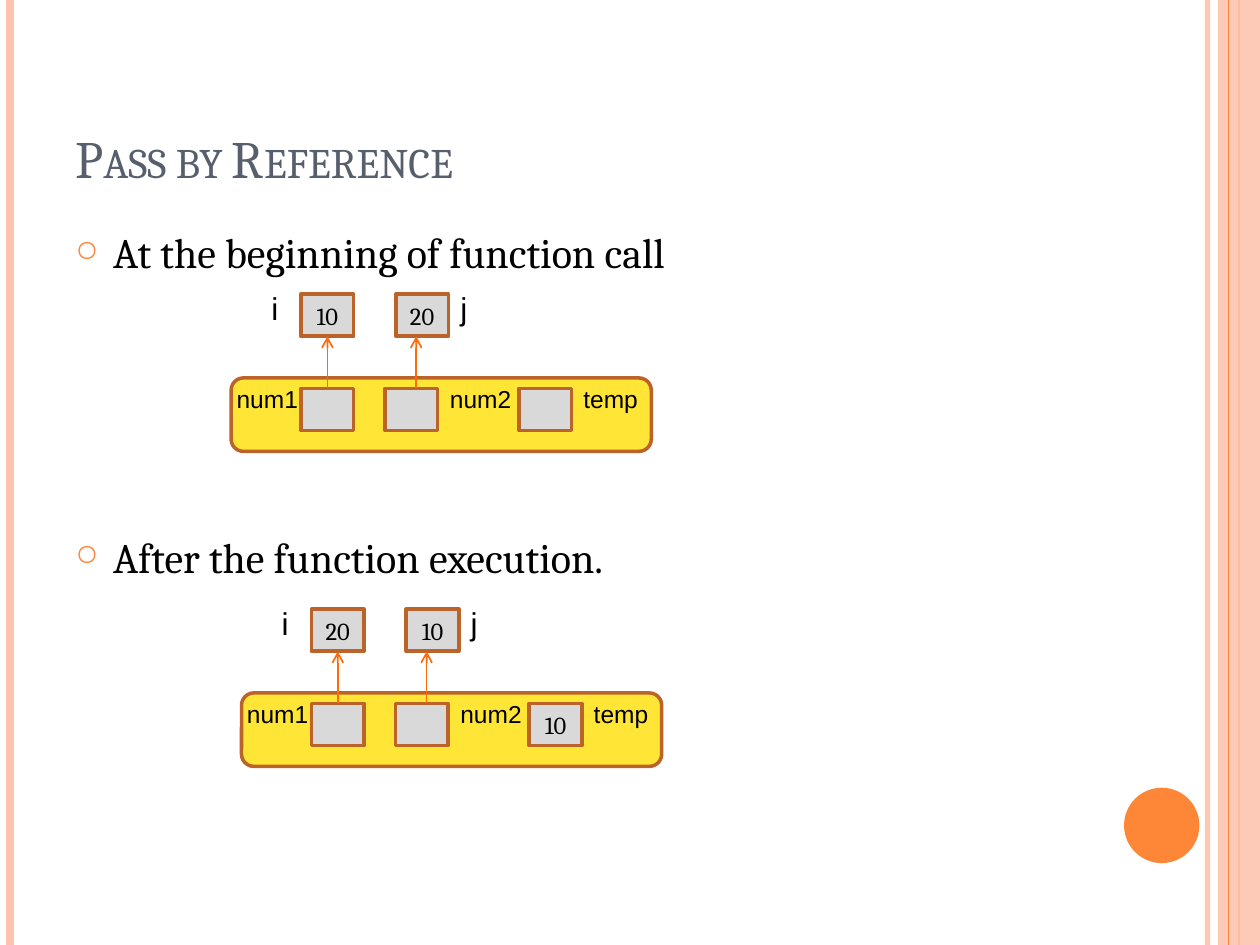
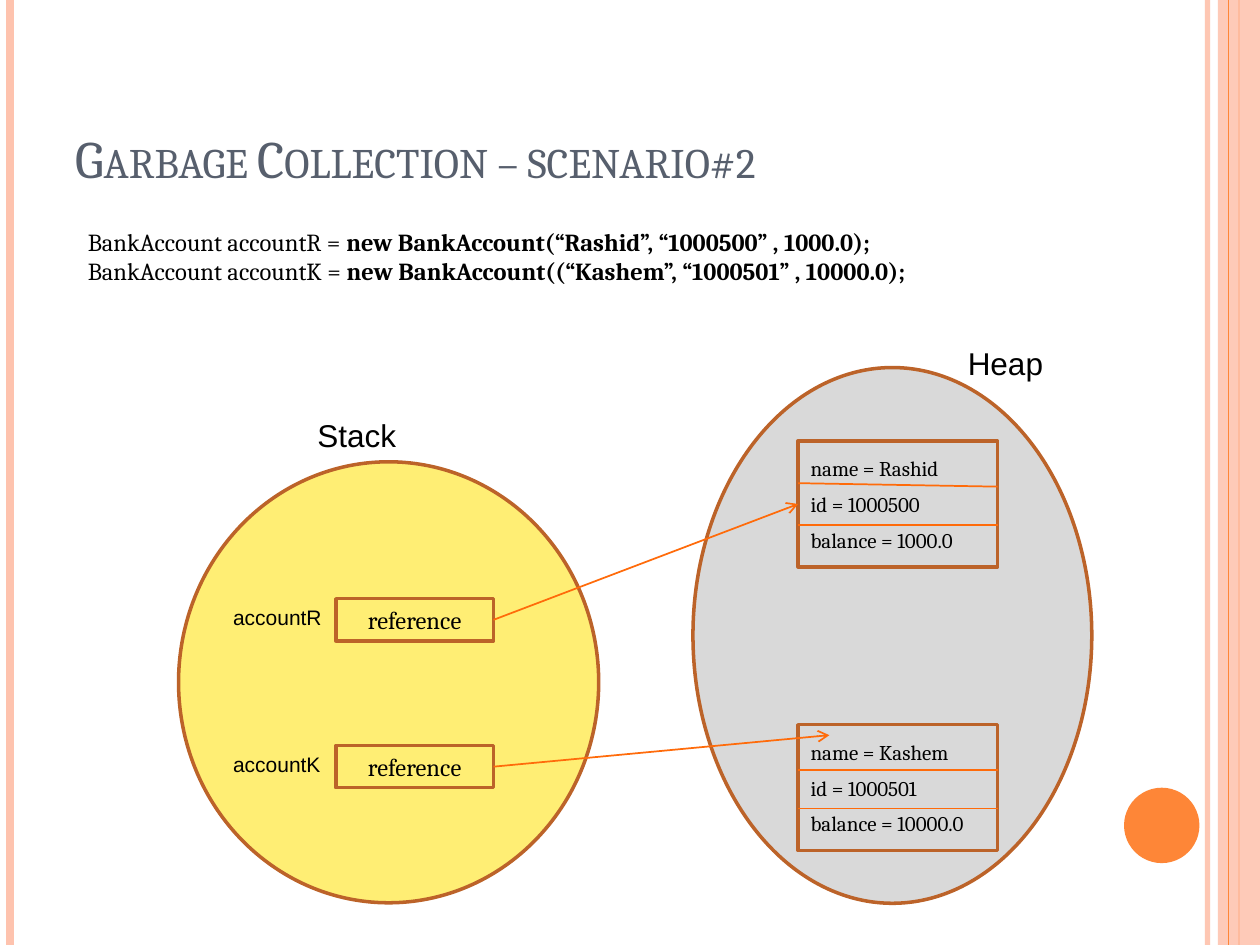
import pptx
import pptx.dml.color
import pptx.enum.shapes
import pptx.enum.text
import pptx.oxml
import pptx.oxml.ns
import pptx.util

Cm, Pt = pptx.util.Cm, pptx.util.Pt
SHAPE = pptx.enum.shapes.MSO_SHAPE
ANCHOR = pptx.enum.text.MSO_ANCHOR
ALIGN = pptx.enum.text.PP_ALIGN

COLORS = {
    "peach": "FEC3AE", "orange": "FE8637", "slate": "575F6D", "black": "000000",
    "grey": "D9D9D9", "rust": "BC6329", "arrow": "FF6B0A",
    "frame": "FFE636", "stack": "FFEE74",
}
SERIF, SANS = "Cambria", "Arial"
WIDTH, HEIGHT = 25.4, 19.05
TITLE_AREA = (1.27, 0.76, 20.75, 3.18)
BODY_AREA = (1.27, 4.45, 20.75, 13.55)

RULES_BEHIND = [(24.34, "peach", 3, 93), (0.21, "peach", 4.5, 100), (24.98, "orange", 1.5, 100)]
BAND = (24.55, 0, 0.85, HEIGHT)
RULE_ON_BAND = (24.77, "orange", 0.75, 100)
BADGE = (22.66, 15.88, 1.52, 1.52)

REFERENCE_TITLE = "Pass by Reference"
STAGES = [
    {"heading": "At the beginning of function call", "space": 6, "origin": (4.66, 7.62),
     "i": "10", "j": "20", "temp": ""},
    {"heading": "After the function execution.", "space": 145, "origin": (4.87, 13.97),
     "i": "20", "j": "10", "temp": "10"},
]
CELL = (1.06, 0.85)
CALLER_VARIABLES = [("i", 1.41, 0.56), ("j", 3.32, 4.37)]
PARAMETERS = [("num1", 1.41, -0.14, 1.75), ("num2", 3.1, 4.16, 1.75), ("temp", 5.8, 6.85, 1.63)]
POINTER_XS = [1.94, 3.73]

GARBAGE_TITLE = "Garbage Collection – scenario#2"
STATEMENTS = [
    ("BankAccount accountR = ", "new BankAccount(“Rashid”, “1000500” , 1000.0);"),
    ("BankAccount accountK = ", "new BankAccount((“Kashem”, “1000501” , 10000.0);"),
]
MEMORY = [
    ("Stack", (6.15, 8.26), "stack", (3.6, 9.31, 8.47, 8.89)),
    ("Heap", (19.26, 6.81), "grey", (13.97, 7.41, 8.04, 10.8)),
]
ACCOUNTS = [
    {"variable": "accountR", "top": 12.07, "object_top": 8.89, "target": (16.09, 10.16),
     "dividers": [(9.74, 9.81), (10.58, 10.58)],
     "fields": ["name = Rashid", "id = 1000500", "balance = 1000.0"]},
    {"variable": "accountK", "top": 15.03, "object_top": 14.61, "target": (16.72, 14.82),
     "dividers": [(15.52, 15.52), (16.3, 16.3)],
     "fields": ["name = Kashem", "id = 1000501", "balance = 10000.0"]},
]
OBJECT_LEFT, OBJECT_WIDTH, OBJECT_HEIGHT = 16.09, 4.02, 2.54
REFERENCE_LEFT, REFERENCE_WIDTH, REFERENCE_HEIGHT = 6.77, 3.18, 0.85


def rgb(color):
    return pptx.dml.color.RGBColor.from_string(COLORS[color])


def sub(parent, tag, **attributes):
    element = pptx.oxml.parse_xml(f'<a:{tag} {pptx.oxml.ns.nsdecls("a")}/>')
    for key, value in attributes.items():
        element.set(key, str(value))
    parent.append(element)
    return element


def set_alpha(owner, percent):
    if percent < 100:
        sub(owner.find(".//" + pptx.oxml.ns.qn("a:srgbClr")), "alpha", val=percent * 1000)


def add_run(paragraph, text, size, font=SERIF, color="black", bold=False):
    run = paragraph.add_run()
    run.text = text
    run.font.size, run.font.name, run.font.bold = Pt(size), font, bold
    run.font.color.rgb = rgb(color)
    return run


def paragraphs(frame, count):
    return [frame.paragraphs[0]] + [frame.add_paragraph() for _ in range(count - 1)]


def text_area(slide, area, wrap=True):
    frame = slide.shapes.add_textbox(*map(Cm, area)).text_frame
    frame.word_wrap = wrap
    return frame


def add_label(slide, text, left, top, width, height, size, wrap=False):
    frame = text_area(slide, (left, top, width, height), wrap)
    add_run(frame.paragraphs[0], text, size, SANS)


def add_line(slide, start, end, color="arrow", width=1, alpha=100, arrow=False):
    line = slide.shapes.add_connector(
        pptx.enum.shapes.MSO_CONNECTOR.STRAIGHT, *map(Cm, start + end))
    line.line.color.rgb = rgb(color)
    line.line.width = Pt(width)
    properties = line._element.spPr
    set_alpha(properties, alpha)
    if arrow:
        sub(line.line._get_or_add_ln(), "tailEnd", type="arrow")
    sub(properties, "effectLst")


def add_figure(slide, kind, area, fill=None, outline="rust", lines=(), size=14,
               align=ALIGN.CENTER, space=0):
    figure = slide.shapes.add_shape(kind, *map(Cm, area))
    figure.shadow.inherit = False
    if fill:
        figure.fill.solid()
        figure.fill.fore_color.rgb = rgb(fill)
    else:
        figure.fill.background()
    if outline:
        figure.line.color.rgb = rgb(outline)
        figure.line.width = Pt(2)
    else:
        figure.line.fill.background()
    if lines:
        figure.text_frame.vertical_anchor = ANCHOR.MIDDLE
        for paragraph, text in zip(paragraphs(figure.text_frame, len(lines)), lines):
            paragraph.alignment = align
            paragraph.space_before = Pt(space)
            add_run(paragraph, text, size)
    return figure


def add_rule(slide, x, color, width, alpha):
    add_line(slide, (x, 0), (x, HEIGHT), color, width, alpha)


def new_slide(deck, title):
    slide = deck.slides.add_slide(deck.slide_layouts[6])
    for rule in RULES_BEHIND:
        add_rule(slide, *rule)
    band = add_figure(slide, SHAPE.RECTANGLE, BAND, "peach", None)
    set_alpha(band._element.spPr, 87)
    add_rule(slide, *RULE_ON_BAND)
    add_figure(slide, SHAPE.OVAL, BADGE, "orange", None)
    frame = text_area(slide, TITLE_AREA)
    frame.vertical_anchor = ANCHOR.BOTTOM
    heading = add_run(frame.paragraphs[0], title, 30, color="slate")
    heading.font._element.set("cap", "small")
    return slide


def indent(paragraph, left, first):
    properties = paragraph._p.get_or_add_pPr()
    properties.set("marL", str(Cm(left)))
    properties.set("indent", str(Cm(first)))
    return properties


def add_stage(slide, stage):
    x, y = stage["origin"]

    def add_cell(left, top, value):
        add_figure(slide, SHAPE.RECTANGLE, (x + left, y + top, *CELL), "grey",
                   lines=[value] if value else [])

    add_figure(slide, SHAPE.ROUNDED_RECTANGLE, (x, y, 8.47, 1.48), "frame")
    for name, cell_left, label_left in CALLER_VARIABLES:
        add_cell(cell_left, -1.69, stage[name])
        add_label(slide, name, x + label_left, y - 1.91, 0.66, 1.02, 18)
    for name, cell_left, label_left, label_width in PARAMETERS:
        add_cell(cell_left, 0.21, stage.get(name))
        add_label(slide, name, x + label_left, y, label_width, 0.86, 14)
    for pointer_x in POINTER_XS:
        add_line(slide, (x + pointer_x, y + 0.21), (x + pointer_x, y - 0.84), arrow=True)


def build_reference(deck):
    slide = new_slide(deck, REFERENCE_TITLE)
    body = text_area(slide, BODY_AREA)
    for paragraph, stage in zip(paragraphs(body, len(STAGES)), STAGES):
        paragraph.space_before = Pt(stage["space"])
        properties = indent(paragraph, 0.76, -0.76)
        sub(sub(properties, "buClr"), "srgbClr", val=COLORS["orange"])
        sub(properties, "buSzPct", val=70000)
        sub(properties, "buChar", char="○")
        add_run(paragraph, stage["heading"], 24)
    for stage in STAGES:
        add_stage(slide, stage)


def add_account(slide, account):
    top, object_top = account["top"], account["object_top"]
    add_figure(slide, SHAPE.RECTANGLE, (OBJECT_LEFT, object_top, OBJECT_WIDTH, OBJECT_HEIGHT),
               lines=account["fields"], size=12, align=ALIGN.LEFT, space=6)
    for start, end in account["dividers"]:
        add_line(slide, (OBJECT_LEFT, start), (OBJECT_LEFT + OBJECT_WIDTH, end))
    add_figure(slide, SHAPE.RECTANGLE, (REFERENCE_LEFT, top, REFERENCE_WIDTH, REFERENCE_HEIGHT),
               lines=["reference"])
    add_label(slide, account["variable"], 4.45, top, 2.44, 0.76, 12, wrap=True)
    add_line(slide, (REFERENCE_LEFT + REFERENCE_WIDTH, top + REFERENCE_HEIGHT / 2),
             account["target"], arrow=True)


def build_garbage(deck):
    slide = new_slide(deck, GARBAGE_TITLE)
    body = text_area(slide, BODY_AREA)
    for paragraph, (declaration, creation) in zip(paragraphs(body, len(STATEMENTS)), STATEMENTS):
        indent(paragraph, 0.76, -0.51)
        add_run(paragraph, declaration, 14)
        add_run(paragraph, creation, 14, bold=True)
    for name, label_at, fill, area in MEMORY:
        add_figure(slide, SHAPE.OVAL, area, fill)
        add_label(slide, name, *label_at, 2.54, 1.02, 18, wrap=True)
    for account in ACCOUNTS:
        add_account(slide, account)


def main():
    deck = pptx.Presentation()
    deck.slide_width, deck.slide_height = Cm(WIDTH), Cm(HEIGHT)
    build_reference(deck)
    build_garbage(deck)
    deck.save("out.pptx")


if __name__ == "__main__":
    main()
